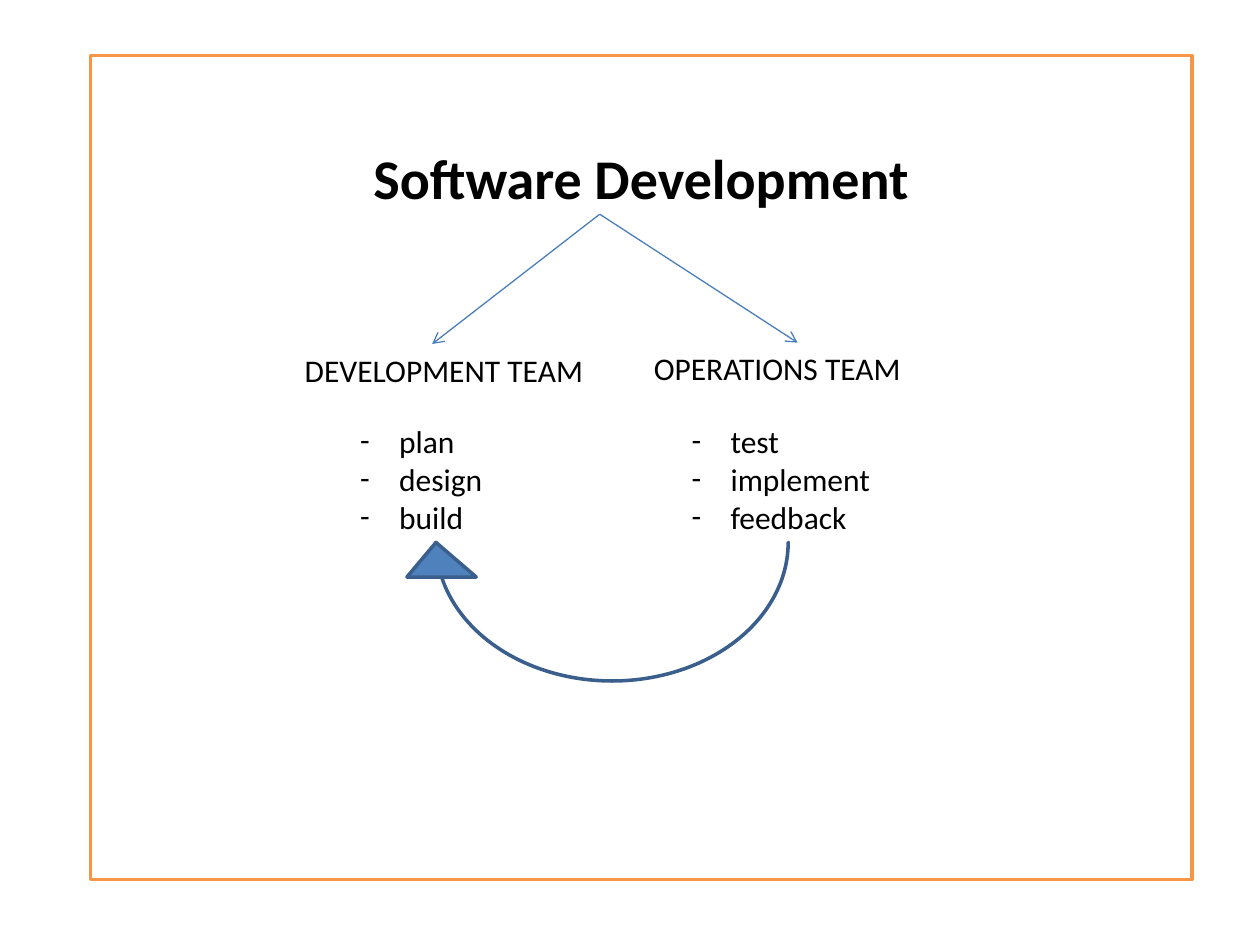
from dataclasses import dataclass

from lxml.etree import SubElement
from pptx import Presentation
from pptx.dml.color import RGBColor
from pptx.enum.shapes import MSO_CONNECTOR as Connector, MSO_SHAPE as Preset
from pptx.enum.text import MSO_ANCHOR as Anchor, MSO_AUTO_SIZE as AutoSize, PP_ALIGN as Align
from pptx.oxml.ns import qn
from pptx.util import Inches, Pt

FONT = "Calibri"
BLACK = RGBColor(0x00, 0x00, 0x00)
WHITE = RGBColor(0xFF, 0xFF, 0xFF)
ORANGE = RGBColor(0xF7, 0x96, 0x46)
BLUE = RGBColor(0x4F, 0x81, 0xBD)
DARK_BLUE = RGBColor(0x3A, 0x5F, 0x8C)
LINE_BLUE = RGBColor(0x4B, 0x7E, 0xBC)

FORK = (4.76, 1.7)
LIST_TOP = 3.3
BULLET_INDENT = Inches(0.31)


@dataclass(frozen=True)
class Team:
    name: str
    left: float
    top: float
    arrow_tip: tuple[float, float]
    joined: bool
    list_left: float
    list_width: float
    tasks: tuple[str, ...]


TEAMS = (
    Team("DEVELOPMENT TEAM", 2.32, 2.74, (3.43, 2.73), False, 2.76, 2.05, ("plan", "design", "build")),
    Team("OPERATIONS TEAM", 5.09, 2.72, (6.33, 2.72), True, 5.39, 2.48, ("test", "implement", "feedback")),
)


def format_text(text_frame, size: float, bold: bool = False) -> None:
    for paragraph in text_frame.paragraphs:
        for run in paragraph.runs:
            run.font.name = FONT
            run.font.size = Pt(size)
            run.font.bold = bold
            run.font.color.rgb = BLACK


def add_shape(slide, preset, left: float, top: float, width: float, height: float,
              fill: RGBColor, line: RGBColor):
    shape = slide.shapes.add_shape(preset, Inches(left), Inches(top), Inches(width), Inches(height))
    shape.shadow.inherit = False
    shape.fill.solid()
    shape.fill.fore_color.rgb = fill
    shape.line.color.rgb = line
    shape.line.width = Pt(2)
    return shape


def add_title_frame(slide) -> None:
    frame = add_shape(slide, Preset.RECTANGLE, 0.72, 0.44, 8.74, 6.54, WHITE, ORANGE)
    text_frame = frame.text_frame
    text_frame.text = "Software Development"
    text_frame.vertical_anchor = Anchor.TOP
    text_frame.margin_top = Inches(0.7)
    text_frame.paragraphs[0].alignment = Align.CENTER
    format_text(text_frame, 32, bold=True)


def add_text(slide, text: str, left: float, top: float, width: float, height: float):
    box = slide.shapes.add_textbox(Inches(left), Inches(top), Inches(width), Inches(height))
    box.text_frame.word_wrap = True
    box.text_frame.auto_size = AutoSize.SHAPE_TO_FIT_TEXT
    box.text_frame.text = text
    format_text(box.text_frame, 18)
    return box


def add_dashes(text_frame) -> None:
    for paragraph in text_frame.paragraphs:
        properties = paragraph._p.get_or_add_pPr()
        properties.set("marL", str(BULLET_INDENT))
        properties.set("indent", str(-BULLET_INDENT))
        SubElement(properties, qn("a:buFont"), typeface=FONT)
        SubElement(properties, qn("a:buChar"), char="-")


def add_arrow(slide, start: tuple[float, float], end: tuple[float, float]):
    arrow = slide.shapes.add_connector(Connector.STRAIGHT, *map(Inches, start + end))
    arrow.line.color.rgb = LINE_BLUE
    arrow.line.width = Pt(0.75)
    SubElement(arrow.line._get_or_add_ln(), qn("a:tailEnd"), type="arrow")
    SubElement(arrow._element.spPr, qn("a:effectLst"))
    return arrow


def add_team(slide, team: Team) -> None:
    label = add_text(slide, team.name, team.left, team.top, 2.48, 0.4)
    arrow = add_arrow(slide, FORK, team.arrow_tip)
    if team.joined:
        arrow.end_connect(label, 0)
    tasks = add_text(slide, "\n".join(team.tasks), team.list_left, LIST_TOP, team.list_width, 1.01)
    add_dashes(tasks.text_frame)


def add_feedback_arrow(slide) -> None:
    arrow = add_shape(slide, Preset.CURVED_LEFT_ARROW, 4.17, 3.32, 1.1, 3.07, BLUE, DARK_BLUE)
    arrow.rotation = 90
    for index, value in enumerate((0, 0.5, 0.25)):
        arrow.adjustments[index] = value


def main() -> None:
    presentation = Presentation()
    presentation.slide_width = Inches(10)
    presentation.slide_height = Inches(7.5)
    slide = presentation.slides.add_slide(presentation.slide_layouts[6])
    add_title_frame(slide)
    for team in TEAMS:
        add_team(slide, team)
    add_feedback_arrow(slide)
    presentation.save("out.pptx")


if __name__ == "__main__":
    main()
